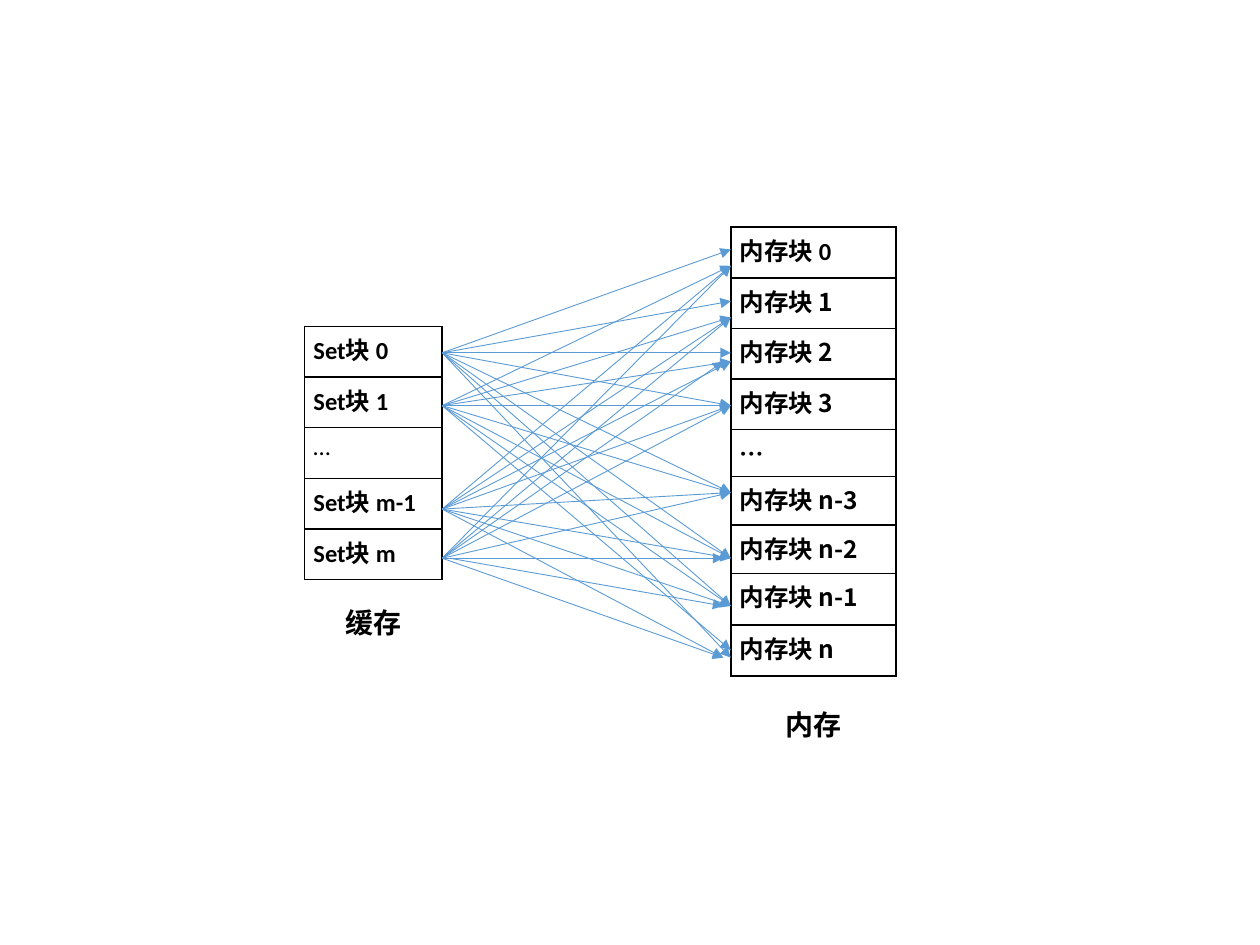
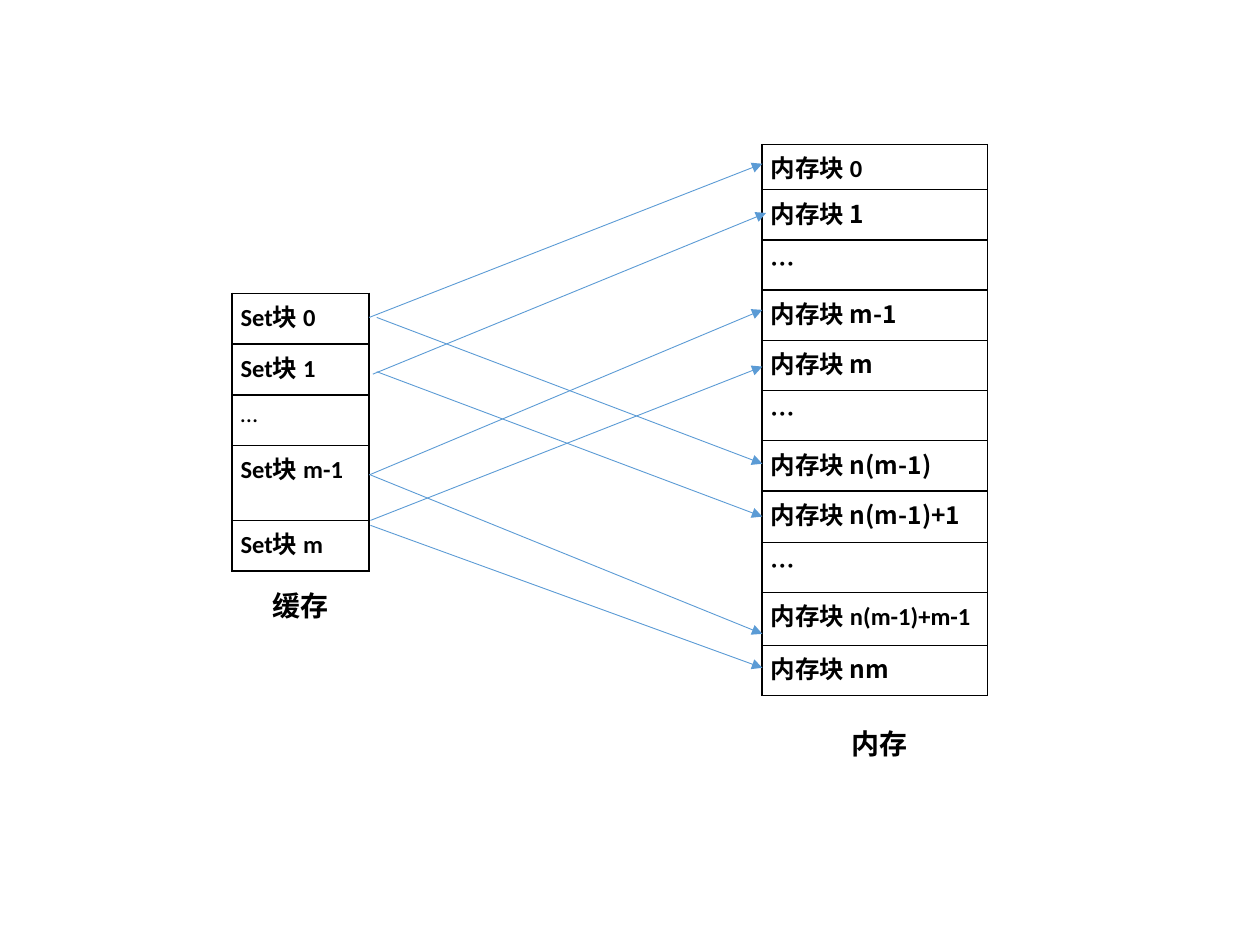
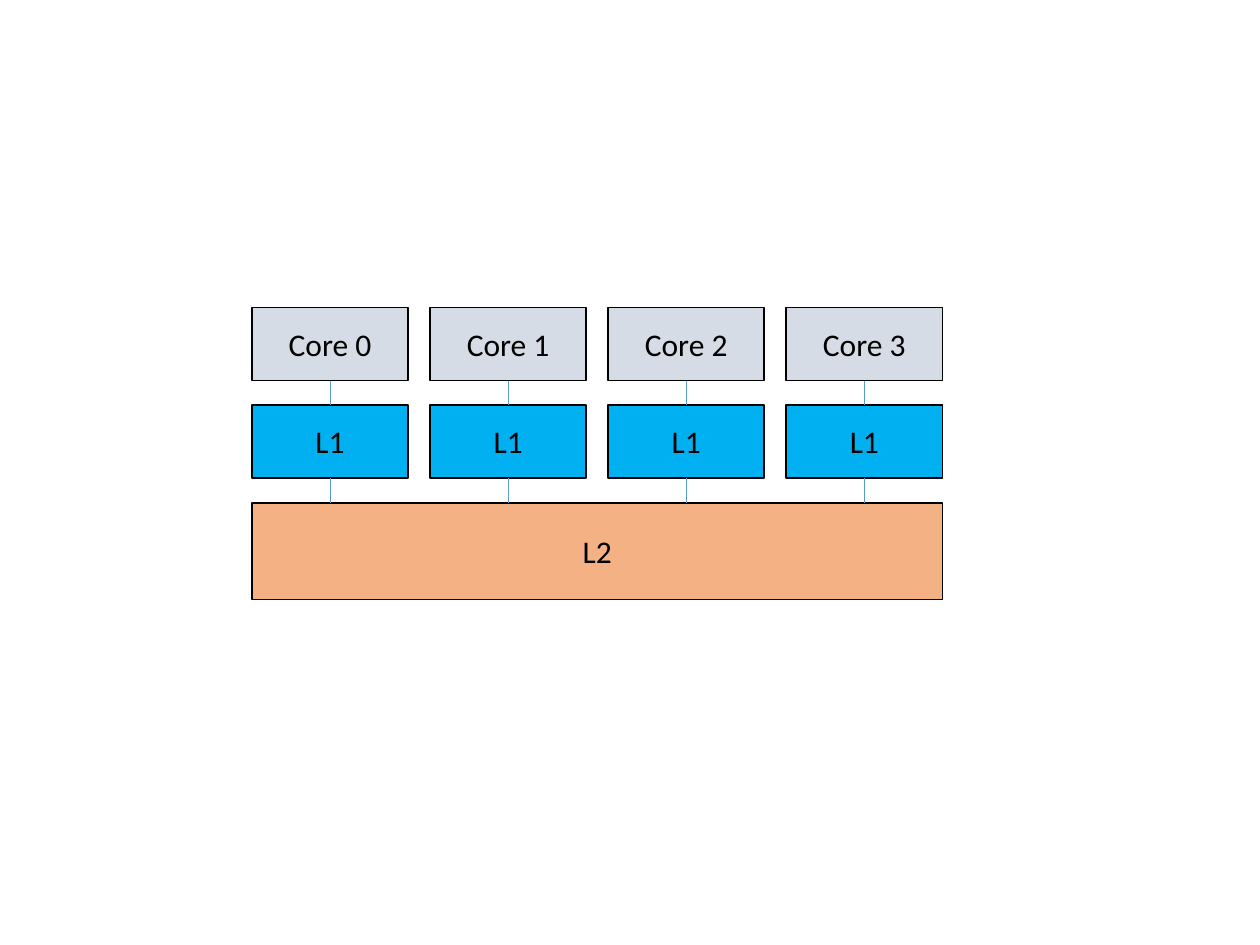
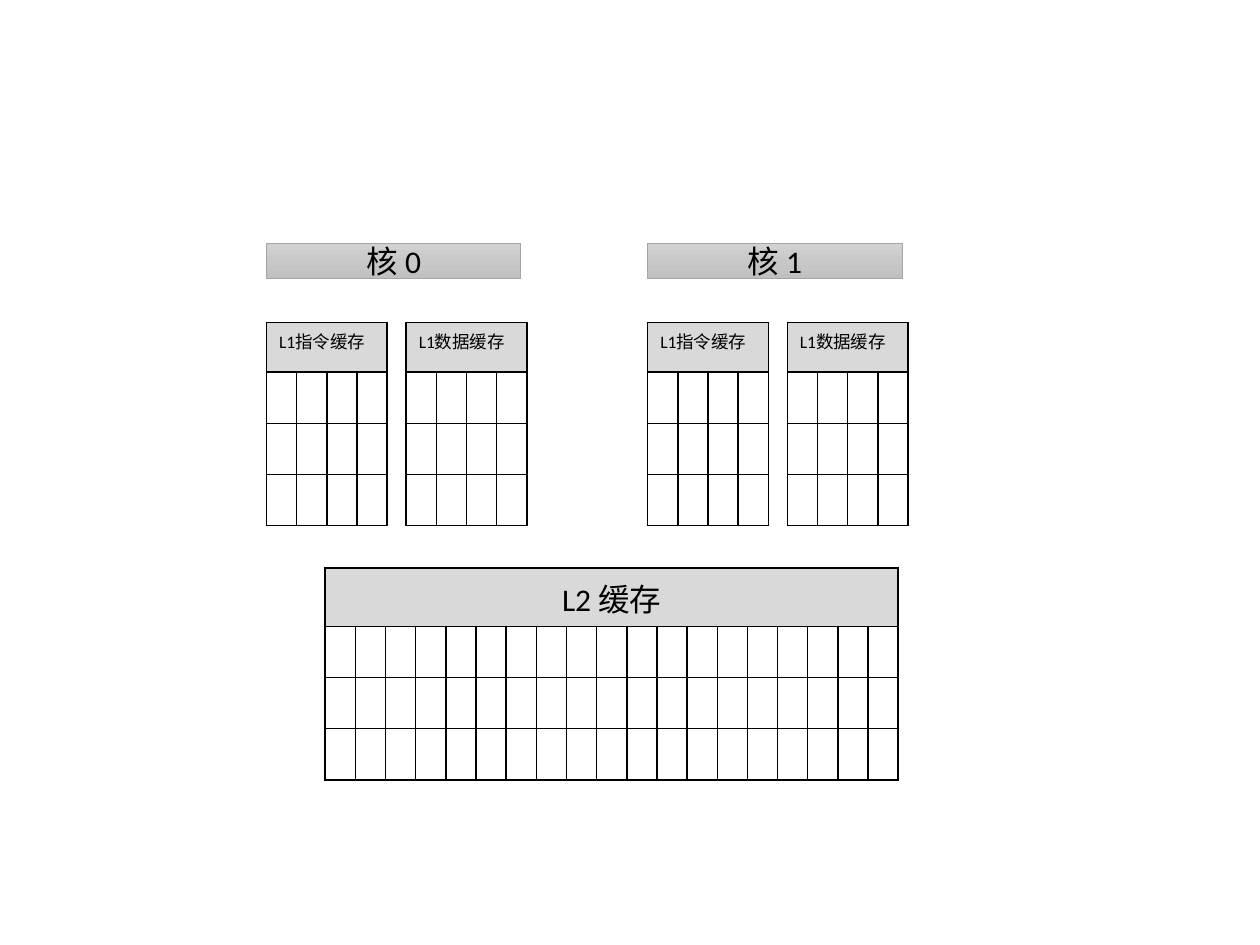
from itertools import accumulate

from lxml.etree import SubElement
from pptx import Presentation
from pptx.dml.color import RGBColor
from pptx.enum.shapes import MSO_CONNECTOR as Connector, MSO_SHAPE as Shape
from pptx.enum.text import MSO_ANCHOR as Anchor, MSO_AUTO_SIZE as AutoSize, PP_ALIGN as Align
from pptx.oxml.ns import qn
from pptx.util import Pt

COLORS = {
    "ink": "000000",
    "paper": "FFFFFF",
    "link": "5B9BD5",
    "core": "D6DCE5",
    "l1": "00B0F0",
    "l2": "F4B183",
    "header": "D9D9D9",
    "bar_edge": "A5A5A5",
    "bar_top": "D2D2D2",
    "bar_middle": "C8C8C8",
    "bar_bottom": "C0C0C0",
}
LATIN, CJK = "Calibri", "Noto Sans CJK SC"
BAR_STOPS = {0: "bar_top", 50: "bar_middle", 100: "bar_bottom"}


def rgb(color):
    return RGBColor.from_string(COLORS[color])


class Deck:
    def __init__(self):
        self.prs = Presentation()
        self.prs.slide_width, self.prs.slide_height = Pt(720), Pt(540)
        self.slide = None

    def new_slide(self):
        self.slide = self.prs.slides.add_slide(self.prs.slide_layouts[6])

    def add_text(self, frame, text, size, bold=False, font=LATIN, align=None):
        paragraph = frame.paragraphs[0]
        paragraph.alignment = align
        run = paragraph.add_run()
        run.text = text
        run.font.size = Pt(size)
        run.font.bold = bold
        run.font.name = font
        run.font.color.rgb = rgb("ink")
        SubElement(run.font._element, qn("a:ea"), typeface=CJK)

    def caption(self, text, x, y, width):
        box = self.slide.shapes.add_textbox(Pt(x), Pt(y), Pt(width), Pt(26.6))
        box.text_frame.word_wrap = True
        box.text_frame.auto_size = AutoSize.SHAPE_TO_FIT_TEXT
        self.add_text(box.text_frame, text, 16, bold=True, align=Align.CENTER)

    def box(self, text, x, y, width, height, fill, edge="ink", weight=1):
        shape = self.slide.shapes.add_shape(Shape.RECTANGLE, Pt(x), Pt(y), Pt(width), Pt(height))
        shape.shadow.inherit = False
        if fill in COLORS:
            shape.fill.solid()
            shape.fill.fore_color.rgb = rgb(fill)
        shape.line.color.rgb = rgb(edge)
        shape.line.width = Pt(weight)
        shape.text_frame.word_wrap = True
        shape.text_frame.vertical_anchor = Anchor.MIDDLE
        self.add_text(shape.text_frame, text, 18, align=Align.CENTER)
        return shape

    def gradient_bar(self, text, x, y, width, height):
        bar = self.box(text, x, y, width, height, None, "bar_edge", 0.5)
        bar.fill.gradient()
        bar.fill.gradient_angle = 270
        stops = bar._element.spPr.find(qn("a:gradFill")).find(qn("a:gsLst"))
        for stop in list(stops):
            stops.remove(stop)
        for percent, color in BAR_STOPS.items():
            stop = SubElement(stops, qn("a:gs"), pos=str(percent * 1000))
            SubElement(stop, qn("a:srgbClr"), val=COLORS[color])

    def link(self, x1, y1, x2, y2, arrow=False):
        line = self.slide.shapes.add_connector(
            Connector.STRAIGHT, Pt(x1), Pt(y1), Pt(x2), Pt(y2))
        line.line.color.rgb = rgb("link")
        line.line.width = Pt(0.5)
        properties = line._element.spPr
        if arrow:
            SubElement(properties.find(qn("a:ln")), qn("a:tailEnd"), type="triangle")
        SubElement(properties, qn("a:effectLst"))

    def table(self, x, y, widths, heights):
        frame = self.slide.shapes.add_table(
            len(heights), len(widths), Pt(x), Pt(y), Pt(sum(widths)), Pt(sum(heights)))
        grid = frame.table
        grid.first_row = grid.horz_banding = False
        for column, width in zip(grid.columns, widths):
            column.width = Pt(width)
        for row, height in zip(grid.rows, heights):
            row.height = Pt(height)
        for cell in grid.iter_cells():
            self.style_cell(cell)
        return grid

    def style_cell(self, cell):
        properties = cell._tc.get_or_add_tcPr()
        for side in "LRTB":
            border = SubElement(properties, qn(f"a:ln{side}"), w=str(Pt(1)))
            fill = SubElement(border, qn("a:solidFill"))
            SubElement(fill, qn("a:srgbClr"), val=COLORS["ink"])
        cell.fill.solid()
        cell.fill.fore_color.rgb = rgb("paper")

    def block_list(self, x, y, width, heights, entries, right_inset=5):
        grid = self.table(x, y, [width], heights)
        for cell, (text, font, bold) in zip(grid.iter_cells(), entries):
            cell.margin_left, cell.margin_right = Pt(5), Pt(right_inset)
            cell.margin_top = cell.margin_bottom = Pt(2.7)
            self.add_text(cell.text_frame, text, 14, bold, font)

    def cache_grid(self, title, x, y, columns, row_height, size, align=None):
        grid = self.table(x, y, [16.42] * columns, [row_height] * 4)
        header = grid.cell(0, 0)
        header.merge(grid.cell(0, columns - 1))
        header.fill.fore_color.rgb = rgb("header")
        self.add_text(header.text_frame, title, size, align=align)


def cache_entries():
    return [("…" if i == "…" else f"Set块 {i}", LATIN, i != "…")
            for i in ("0", "1", "…", "m-1", "m")]


def memory_entries(indices, latin_indices):
    return [("…" if i == "…" else f"内存块 {i}", LATIN if i in latin_indices else CJK, True)
            for i in indices]


deck = Deck()

deck.new_slide()
deck.block_list(174.1, 186.5, 78.5, [28.95] * 5, cache_entries())
deck.block_list(417.6, 129.8, 94.3, [28.95] * 4 + [26.7, 27.9, 27.5, 29.6, 28.95],
                memory_entries(["0", "1", "2", "3", "…", "n-3", "n-2", "n-1", "n"], ["0"]))
shared_targets = [151.9, 181.4, 206.6, 231.8, 281.5, 319, 346.3, 375.8]
set_targets = {
    201.6: [142.6, 172.1, 201.6] + shared_targets[3:],
    231.8: shared_targets[:7] + [371.5],
    290.9: shared_targets,
    319: shared_targets,
}
short_links = {(290.9, 7), (319, 2), (319, 5), (319, 6), (319, 7)}
for set_y, targets in set_targets.items():
    for block, block_y in enumerate(targets):
        start = 257 if (set_y, block) == (319, 6) else 252.7
        end = 413.3 if (set_y, block) in short_links else 417.6
        deck.link(start, set_y, end, block_y, arrow=True)
deck.caption("缓存", 185.8, 342.7, 55.4)
deck.caption("内存", 429.1, 401, 72)

deck.new_slide()
deck.block_list(132.5, 167.7, 78.5, [28.95] * 5, cache_entries(), right_inset=11)
deck.block_list(435.4, 82.6, 128.8, [24.5] + [28.7] * 6 + [29.4, 28.7, 30.2, 28.7],
                memory_entries(["0", "1", "…", "m-1", "m", "…", "n(m-1)", "n(m-1)+1", "…",
                                "n(m-1)+m-1", "nm"], ["0", "n(m-1)+m-1"]))
deck.caption("缓存", 144, 332.6, 55.4)
deck.caption("内存", 463.7, 411.8, 77.8)
for ends in [
    (211, 181.4, 435.6, 93.6),
    (213.1, 213.8, 437.8, 121.7),
    (215.3, 181.4, 435.6, 265),
    (215.3, 212.4, 435.6, 295.2),
    (211, 271.4, 435.6, 177.1),
    (211.7, 271.4, 435.6, 362.2),
    (211.7, 297.4, 435.6, 209.5),
    (211.7, 300.2, 435.6, 381.6),
]:
    deck.link(*ends, arrow=True)

deck.new_slide()
left, pitch, core_width, core_height = 144, 101.76, 89.3, 41.8
level_gaps = [55.6, 56]
core_y, l1_y, l2_y = accumulate(level_gaps, initial=175.7)
core_lefts = [left + i * pitch for i in range(4)]
for i, x in enumerate(core_lefts):
    deck.box(f"Core {i}", x, core_y, core_width, core_height, "core")
    deck.box("L1", x, l1_y, core_width, core_height, "l1")
deck.box("L2", left, l2_y, 3 * pitch + core_width, 55.4, "l2")
for upper, lower in ((core_y, l1_y), (l1_y, l2_y)):
    for x in core_lefts:
        middle = x + core_width / 2
        deck.link(middle, upper + core_height, middle, lower)

deck.new_slide()
for i, x in enumerate((152.3, 370.1)):
    deck.gradient_bar(f"核 {i}", x, 139, 145.4, 20.2)
    deck.cache_grid("L1指令缓存", x, 184.3, 4, 28.4, 10)
    deck.cache_grid("L1数据缓存", x + 79.8, 184.3, 4, 28.4, 10)
deck.cache_grid("L2 缓存", 185.8, 324.7, 19, 28.4, 18, Align.CENTER)

deck.prs.save("out.pptx")
